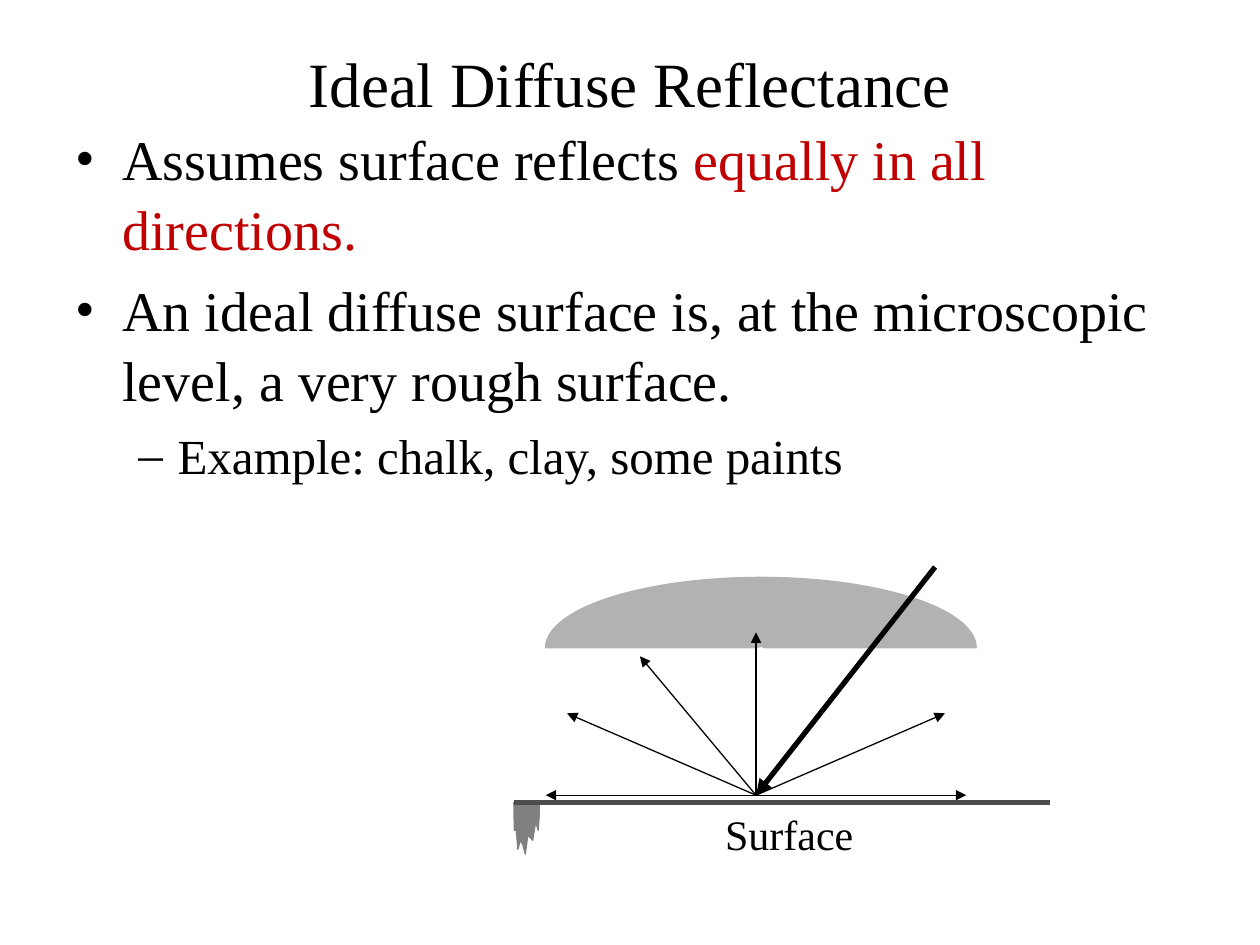
import math

import pptx
import pptx.dml.color
import pptx.enum.shapes
import pptx.enum.text
import pptx.oxml.ns
import pptx.util
from lxml import etree

Cm = pptx.util.Cm
Pt = pptx.util.Pt
ALIGN = pptx.enum.text.PP_ALIGN
ANCHOR = pptx.enum.text.MSO_ANCHOR


def color(hex_code):
    return pptx.dml.color.RGBColor.from_string(hex_code)


def add_element(parent, tag, **attributes):
    return etree.SubElement(parent, pptx.oxml.ns.qn(tag), attributes)


def write(paragraph, text, size=32, ink="000000", font="Times New Roman"):
    run = paragraph.add_run()
    run.text = text
    run.font.size = Pt(size)
    run.font.name = font
    run.font.color.rgb = color(ink)


class DiagramSlide:
    black = "000000"
    accent = "C00000"
    dome = "B2B2B2"
    rough = "808080"
    ground = "4D4D4D"
    thin, thick = 0.75, 3

    def __init__(self, slide):
        self.slide = slide

    def text_frame(self, left, top, width, height, anchor=ANCHOR.TOP, wrap=True):
        box = self.slide.shapes.add_textbox(Cm(left), Cm(top), Cm(width), Cm(height))
        frame = box.text_frame
        frame.word_wrap = wrap
        frame.vertical_anchor = anchor
        return frame

    def centered(self, text, size, *area, wrap=True):
        paragraph = self.text_frame(*area, anchor=ANCHOR.MIDDLE, wrap=wrap).paragraphs[0]
        paragraph.alignment = ALIGN.CENTER
        write(paragraph, text, size=size)

    def bullets(self, items, *area):
        """Each item is (level, size, [(text, ink), ...])."""
        frame = self.text_frame(*area)
        styles = {0: ("•", 0.95, 0.95), 1: ("–", 2.06, 0.79)}
        for index, (level, size, runs) in enumerate(items):
            paragraph = frame.add_paragraph() if index else frame.paragraphs[0]
            paragraph.level = level
            paragraph.line_spacing = 1.04
            if index:
                paragraph.space_before = Pt(size * 0.2)
            mark, margin, hang = styles[level]
            properties = paragraph._p.get_or_add_pPr()
            properties.set("marL", str(Cm(margin)))
            properties.set("indent", str(-Cm(hang)))
            add_element(properties, "a:buFont", typeface="Times New Roman")
            add_element(properties, "a:buChar", char=mark)
            for text, ink in runs:
                write(paragraph, text, size=size, ink=ink)

    def outline(self, points, ink):
        corners = [(Cm(x), Cm(y)) for x, y in points]
        builder = self.slide.shapes.build_freeform(*corners[0])
        builder.add_line_segments(corners[1:], close=True)
        shape = builder.convert_to_shape()
        shape.shadow.inherit = False
        shape.fill.solid()
        shape.fill.fore_color.rgb = color(ink)
        shape.line.color.rgb = color(ink)
        shape.line.width = Pt(self.thin)

    def line(self, start, end, ink=black, width=thin, arrow=True):
        connector = self.slide.shapes.add_connector(
            pptx.enum.shapes.MSO_CONNECTOR.STRAIGHT,
            *(Cm(value) for value in (*start, *end)))
        connector.line.color.rgb = color(ink)
        connector.line.width = Pt(width)
        if arrow:
            add_element(connector.line._get_or_add_ln(), "a:tailEnd", type="triangle")
        add_element(connector._element.spPr, "a:effectLst")


def half_ellipse(center_x, base_y, radius_x, radius_y, steps=60):
    angles = [math.pi * step / steps for step in range(steps + 1)]
    return [(center_x + radius_x * math.cos(angle), base_y - radius_y * math.sin(angle))
            for angle in angles]


def main():
    presentation = pptx.Presentation()
    presentation.slide_width = Cm(25.4)
    presentation.slide_height = Cm(19.05)
    page = DiagramSlide(presentation.slides.add_slide(presentation.slide_layouts[6]))

    page.centered("Ideal Diffuse Reflectance", 36, 1.27, 0.76, 22.86, 1.78)
    page.bullets([
        (0, 32, [("Assumes surface reflects ", page.black),
                 ("equally in all directions.", page.accent)]),
        (0, 32, [("An ideal diffuse surface is, at the microscopic level, "
                  "a very rough surface.", page.black)]),
        (1, 28, [("Example: chalk, clay, some paints", page.black)]),
    ], 1.27, 2.34, 22.86, 14.68)

    dome_x, dome_y = 15.34, 13.06
    notch = [(dome_x - 0.1, dome_y), (dome_x, dome_y - 0.03), (dome_x + 0.1, dome_y)]
    page.outline(half_ellipse(dome_x, dome_y, 4.34, 1.42) + notch, page.dome)

    ground_left, ground_right, ground_y = 10.36, 21.16, 16.18
    page.outline([
        (ground_left, ground_y), (10.87, ground_y), (10.87, 16.46), (10.85, 16.74),
        (10.8, 16.56), (10.74, 16.94), (10.64, 16.84), (10.59, 17.22), (10.54, 17.02),
        (10.49, 16.94), (10.44, 17.12), (10.41, 16.74), (10.37, 16.74),
    ], page.rough)
    page.line((ground_left, ground_y), (ground_right, ground_y),
              ink=page.ground, width=page.thick, arrow=False)
    page.centered("Surface", 24, 14.35, ground_y, 3.12, 1.27, wrap=False)

    hit_x, hit_y = hit = (15.24, 16.03)
    page.line((18.85, 11.43), hit, width=page.thick)
    reflected = [(-2.34, 2.8), (-3.81, 1.65), (3.81, 1.65), (0, 3.28), (-4.24, 0), (4.24, 0)]
    for across, up in reflected:
        page.line(hit, (hit_x + across, hit_y - up))

    presentation.save("out.pptx")


if __name__ == "__main__":
    main()
